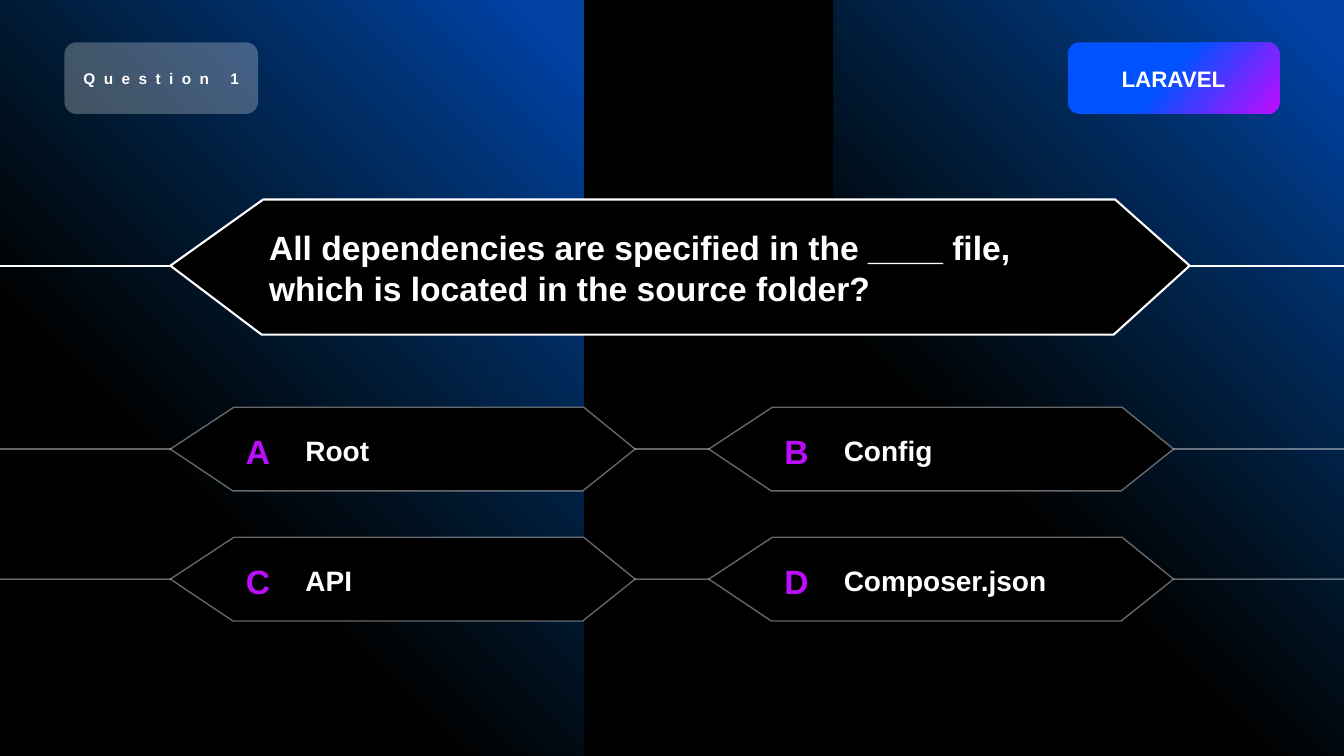
import dataclasses

import lxml.etree
import pptx
import pptx.dml.color
import pptx.enum.shapes
import pptx.enum.text
import pptx.oxml
import pptx.oxml.ns
import pptx.util


@dataclasses.dataclass(frozen=True)
class Theme:
    """Colours, type sizes and gradients of the quiz."""
    font: str = "Arial"
    black: str = "000000"
    white: str = "FFFFFF"
    accent: str = "BD0DFF"
    question_size: int = 24
    letter_size: int = 24
    answer_size: int = 20
    topic_size: int = 16
    counter_size: int = 11
    faint: int = 40
    glass: int = 26
    glow_stops: tuple = ((6, "0066FF", 63), (66, "0070C0", 0), (100, "000000", 0))
    glow_shade: str = '<a:path path="circle"><a:fillToRect l="100000" b="100000"/></a:path>'
    topic_stops: tuple = ((47, "0053FF", 100), (99, "BD0DFF", 100))
    topic_shade: str = '<a:lin ang="2400000" scaled="0"/>'


@dataclasses.dataclass(frozen=True)
class Box:
    """A rectangle on the slide."""
    left: int
    top: int
    width: int
    height: int

    def share(self, left, top, width, height):
        """Return an inner box given in percent of this one."""
        return Box(self.left + round(self.width * left / 100),
                   self.top + round(self.height * top / 100),
                   round(self.width * width / 100),
                   round(self.height * height / 100))

    def place(self):
        """Return the four lengths in the order that shapes take."""
        return self.left, self.top, self.width, self.height


@dataclasses.dataclass(frozen=True)
class Frame:
    """Outline of a pointed box, with its cuts in percent of the box."""
    left_cut: float
    right_cut: float
    tip: float
    skew: float
    outline: float
    rule: float
    opacity: int


THEME = Theme()
BANNER = Frame(9.1, 7.3, 49, 0.15, 1.5, 1.5, 100)
ANSWER = Frame(13.67, 11.06, 50, 0.22, 1, 1.25, THEME.faint)
MIDDLE = pptx.enum.text.MSO_ANCHOR.MIDDLE
LEFT = pptx.enum.text.PP_ALIGN.LEFT
CENTER = pptx.enum.text.PP_ALIGN.CENTER


def rgb(value):
    """Turn a hex string into a colour."""
    return pptx.dml.color.RGBColor.from_string(value)


def fade(shape, container, opacity):
    """Give the colour in a shape's fill or line an opacity in percent."""
    holder = shape.element.spPr.find(pptx.oxml.ns.qn(container))
    colour = next(holder.iter(pptx.oxml.ns.qn("a:srgbClr")))
    alpha = lxml.etree.SubElement(colour, pptx.oxml.ns.qn("a:alpha"))
    alpha.set("val", str(opacity * 1000))


def set_gradient(shape, stops, shade):
    """Replace a shape's fill by a gradient."""
    shape.fill.solid()
    solid = shape.element.spPr.find(pptx.oxml.ns.qn("a:solidFill"))
    marks = "".join(
        f'<a:gs pos="{position * 1000}"><a:srgbClr val="{colour}">'
        f'<a:alpha val="{opacity * 1000}"/></a:srgbClr></a:gs>'
        for position, colour, opacity in stops)
    gradient = pptx.oxml.parse_xml(
        f'<a:gradFill {pptx.oxml.ns.nsdecls("a")} rotWithShape="1">'
        f'<a:gsLst>{marks}</a:gsLst>{shade}</a:gradFill>')
    solid.getparent().replace(solid, gradient)


def write(shape, text, size, colour=THEME.white, align=LEFT):
    """Put bold text into a shape, centred vertically."""
    frame = shape.text_frame
    frame.word_wrap = True
    frame.vertical_anchor = MIDDLE
    frame.text = text
    paragraph = frame.paragraphs[0]
    paragraph.alignment = align
    font = paragraph.runs[0].font
    font.name, font.size, font.bold = THEME.font, pptx.util.Pt(size), True
    font.color.rgb = rgb(colour)


def add_label(slide, box, *text):
    """Add a text box that fills the given box."""
    write(slide.shapes.add_textbox(*box.place()), *text)


def add_plain(slide, kind, box):
    """Add a preset shape without line or shadow."""
    shape = slide.shapes.add_shape(kind, *box.place())
    shape.shadow.inherit = False
    shape.line.fill.background()
    return shape


def add_glow(slide, box, flipped):
    """Add a panel that shines from its top right corner."""
    panel = add_plain(slide, pptx.enum.shapes.MSO_SHAPE.RECTANGLE, box)
    set_gradient(panel, THEME.glow_stops, THEME.glow_shade)
    if flipped:
        panel.element.spPr.xfrm.set("flipH", "1")


def add_rule(slide, page, box, frame):
    """Draw a line across the page at the height of the box's tips."""
    height = box.share(0, frame.tip, 0, 0).top
    rule = slide.shapes.add_connector(
        pptx.enum.shapes.MSO_CONNECTOR.STRAIGHT,
        page.left, height, page.left + page.width, height)
    rule.line.color.rgb = rgb(THEME.white)
    rule.line.width = pptx.util.Pt(frame.rule)
    fade(rule, "a:ln", frame.opacity)
    lxml.etree.SubElement(rule.element.spPr, pptx.oxml.ns.qn("a:effectLst"))


def add_pointed_box(slide, box, frame):
    """Draw a black box with a tip at each side."""
    right = 100 - frame.right_cut
    corners = [(0, frame.tip), (frame.left_cut, 0), (right, 0), (100, frame.tip),
               (right - frame.skew, 100), (frame.left_cut - frame.skew, 100)]
    spots = [box.share(across, down, 0, 0) for across, down in corners]
    points = [(spot.left, spot.top) for spot in spots]
    builder = slide.shapes.build_freeform(*points[0])
    builder.add_line_segments(points[1:], close=True)
    shape = builder.convert_to_shape()
    shape.shadow.inherit = False
    shape.fill.solid()
    shape.fill.fore_color.rgb = rgb(THEME.black)
    shape.line.color.rgb = rgb(THEME.white)
    shape.line.width = pptx.util.Pt(frame.outline)
    fade(shape, "a:ln", frame.opacity)


def add_question(slide, page, box, text):
    """Add the question banner with its rule."""
    add_rule(slide, page, box, BANNER)
    add_pointed_box(slide, box, BANNER)
    add_label(slide, box.share(8.7, 0.75, 83.28, 99.25), text, THEME.question_size)


def add_answers(slide, page, first, step, rows):
    """Add the grid of lettered answers, with a rule behind each row."""
    letters = iter("ABCD")
    for row, answers in enumerate(rows):
        for column, answer in enumerate(answers):
            offset = page.share(step[0] * column, step[1] * row, 0, 0)
            box = dataclasses.replace(
                first, left=first.left + offset.left, top=first.top + offset.top)
            if column == 0:
                add_rule(slide, page, box, ANSWER)
            add_pointed_box(slide, box, ANSWER)
            add_label(slide, box.share(26.9, 3.6, 50.33, 96.4), answer, THEME.answer_size)
            add_label(slide, box.share(13.23, 3.6, 11.28, 96.4), next(letters),
                      THEME.letter_size, THEME.accent, CENTER)


def add_badges(slide, topic_box, topic, counter_box, counter):
    """Add the topic badge and the question counter."""
    rounded = pptx.enum.shapes.MSO_SHAPE.ROUNDED_RECTANGLE
    badge = add_plain(slide, rounded, topic_box)
    set_gradient(badge, THEME.topic_stops, THEME.topic_shade)
    write(badge, topic, THEME.topic_size, THEME.white, CENTER)
    badge = add_plain(slide, rounded, counter_box)
    badge.fill.solid()
    badge.fill.fore_color.rgb = rgb(THEME.white)
    fade(badge, "a:solidFill", THEME.glass)
    write(badge, counter, THEME.counter_size, THEME.white, CENTER)
    next(badge.element.iter(pptx.oxml.ns.qn("a:rPr"))).set("spc", "600")


def main():
    """Build the quiz slide and save it."""
    presentation = pptx.Presentation()
    presentation.slide_width = pptx.util.Inches(13.33)
    presentation.slide_height = pptx.util.Inches(7.5)
    page = Box(0, 0, presentation.slide_width, presentation.slide_height)
    slide = presentation.slides.add_slide(presentation.slide_layouts[6])
    slide.background.fill.solid()
    slide.background.fill.fore_color.rgb = rgb(THEME.black)
    add_glow(slide, page.share(0, 0, 43.44, 100), True)
    add_glow(slide, page.share(62.04, 0, 37.96, 100), False)
    add_question(slide, page, page.share(12.68, 26.4, 75.84, 17.87),
                 "All dependencies are specified in the ____ file, "
                 "which is located in the source folder?")
    add_answers(slide, page, page.share(12.68, 53.87, 34.58, 11.07), (40.06, 17.2),
                (("Root", "Config"), ("API", "Composer.json")))
    add_badges(slide, page.share(79.44, 5.6, 15.75, 9.47), "LARAVEL",
               page.share(4.8, 5.6, 14.4, 9.47), "Question 1")
    presentation.save("out.pptx")


if __name__ == "__main__":
    main()
